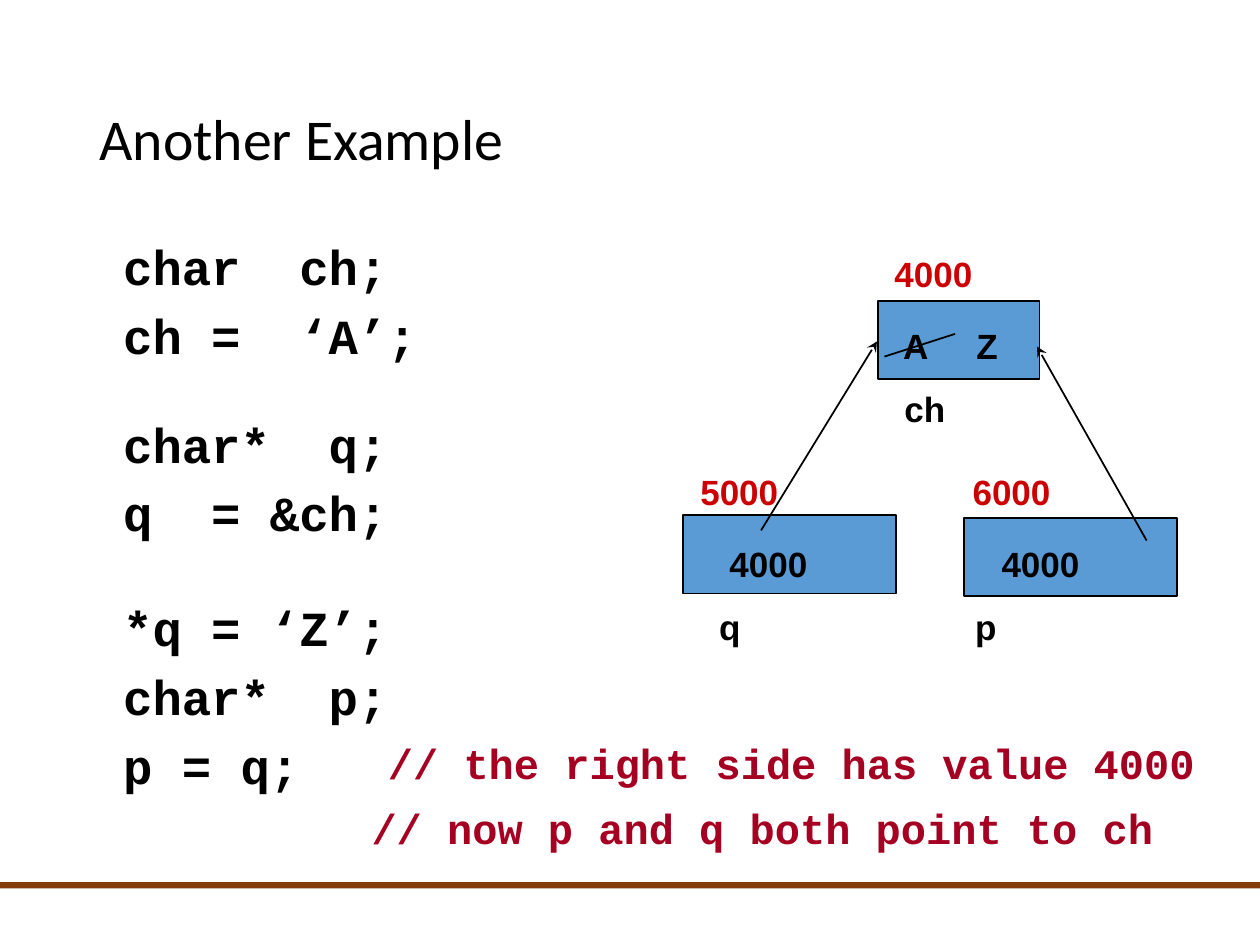
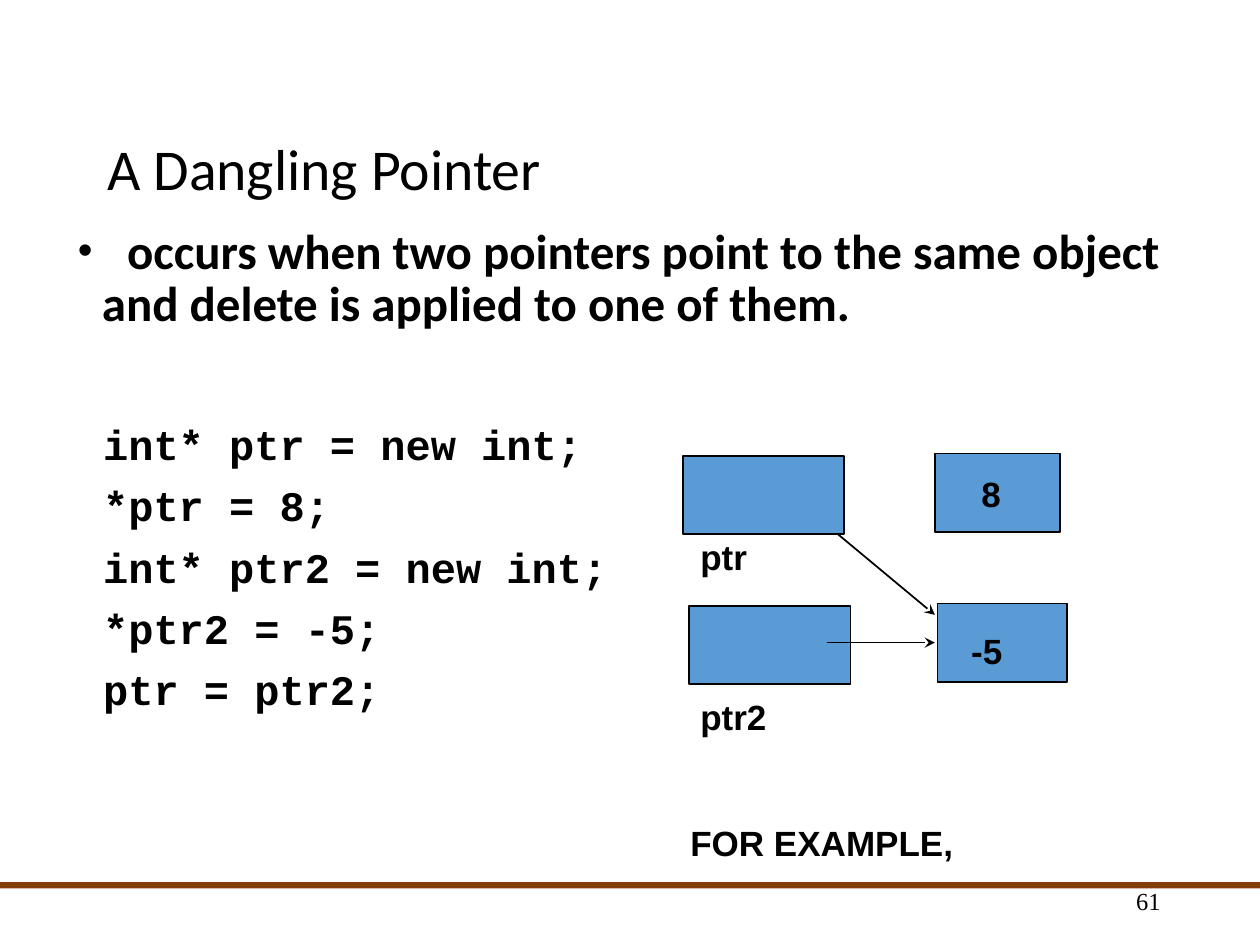
"""Build two slides on C++ pointers with code and memory diagrams."""
from dataclasses import dataclass

from lxml.etree import SubElement
from pptx import Presentation
from pptx.dml.color import RGBColor
from pptx.enum.shapes import MSO_CONNECTOR, MSO_SHAPE
from pptx.enum.text import MSO_ANCHOR, PP_ALIGN
from pptx.oxml.ns import qn
from pptx.util import Emu, Inches, Pt

SLIDE_WIDTH, SLIDE_HEIGHT = Inches(10), Inches(7.5)
COLUMNS, ROWS = 100, 75
BLACK, BLUE, BROWN = "000000", "5B9BD5", "843C0B"
RED, CRIMSON = "CC0000", "A50021"
CODE_FONT, LABEL_FONT, TEXT_FONT, NUMBER_FONT = "Courier New", "Arial", "Calibri", "Times New Roman"
CELL_HEIGHT = 6.2
LABEL_HEIGHT = 4
TEXT_INSET = 1
LINE_SPACING = 0.9
CODE_SPACE = 9


@dataclass(frozen=True)
class Area:
    """A rectangle in grid columns and rows."""
    left: float
    top: float
    width: float
    height: float


@dataclass(frozen=True)
class Label:
    """A line of text: left edge in columns, middle in rows."""
    text: str
    left: float
    middle: float
    color: str = BLACK
    font: str = LABEL_FONT
    size: float = 20


@dataclass(frozen=True)
class MemoryCell:
    """A box of the memory diagram."""
    left: float
    top: float
    width: float


@dataclass(frozen=True)
class Line:
    """A straight line, with an arrowhead at its end if it is a pointer."""
    start: tuple[float, float]
    end: tuple[float, float]
    pointer: bool = True


@dataclass(frozen=True)
class CodeLine:
    """A line of code and the space in points above it."""
    text: str
    space_before: float = CODE_SPACE


def across(columns: float) -> Emu:
    """Turn grid columns into a length."""
    return Emu(round(SLIDE_WIDTH * columns / COLUMNS))


def down(rows: float) -> Emu:
    """Turn grid rows into a length."""
    return Emu(round(SLIDE_HEIGHT * rows / ROWS))


def bounds(area: Area) -> tuple[Emu, Emu, Emu, Emu]:
    """Give left, top, width and height as lengths."""
    return across(area.left), down(area.top), across(area.width), down(area.height)


def rgb(color: str) -> RGBColor:
    """Turn a hex string into a colour."""
    return RGBColor.from_string(color)


def style_font(font, name: str, size: float, bold: bool = True, color: str = BLACK) -> None:
    """Set the face, size, weight and colour of a font."""
    font.name, font.size, font.bold = name, Pt(size), bold
    font.color.rgb = rgb(color)


def add_rectangle(slide, area: Area, fill: str, outline: str | None = None) -> None:
    """Draw a filled rectangle with an optional outline."""
    shape = slide.shapes.add_shape(MSO_SHAPE.RECTANGLE, *bounds(area))
    shape.shadow.inherit = False
    shape.fill.solid()
    shape.fill.fore_color.rgb = rgb(fill)
    if outline:
        shape.line.color.rgb = rgb(outline)
        shape.line.width = Pt(1)
    else:
        shape.line.fill.background()


def add_text_frame(slide, area: Area, anchor=MSO_ANCHOR.TOP, wrap: bool = True):
    """Add a text box and return its text frame."""
    frame = slide.shapes.add_textbox(*bounds(area)).text_frame
    frame.word_wrap = wrap
    frame.vertical_anchor = anchor
    return frame


def add_label(slide, label: Label) -> None:
    """Write a label at its left edge and middle."""
    area = Area(label.left - TEXT_INSET, label.middle - LABEL_HEIGHT / 2,
                COLUMNS - label.left, LABEL_HEIGHT)
    paragraph = add_text_frame(slide, area, MSO_ANCHOR.MIDDLE, wrap=False).paragraphs[0]
    paragraph.text = label.text
    style_font(paragraph.font, label.font, label.size, color=label.color)


def add_line(slide, line: Line) -> None:
    """Draw a thin black line or pointer arrow."""
    connector = slide.shapes.add_connector(
        MSO_CONNECTOR.STRAIGHT, across(line.start[0]), down(line.start[1]),
        across(line.end[0]), down(line.end[1]))
    connector.line.color.rgb = rgb(BLACK)
    connector.line.width = Pt(1)
    properties = connector._element.spPr
    if line.pointer:
        SubElement(properties.find(qn("a:ln")), qn("a:tailEnd"), type="stealth")
    SubElement(properties, qn("a:effectLst"))


def add_diagram(slide, cells: list[MemoryCell], lines: list[Line], labels: list[Label]) -> None:
    """Draw memory cells, then the lines and labels over them."""
    for cell in cells:
        add_rectangle(slide, Area(cell.left, cell.top, cell.width, CELL_HEIGHT), BLUE, BLACK)
    for line in lines:
        add_line(slide, line)
    for label in labels:
        add_label(slide, label)


def add_code(slide, area: Area, size: float, code: list[CodeLine]) -> None:
    """Write lines of code in one text box."""
    frame = add_text_frame(slide, area)
    for index, line in enumerate(code):
        paragraph = frame.add_paragraph() if index else frame.paragraphs[0]
        paragraph.text = line.text
        paragraph.line_spacing = LINE_SPACING
        paragraph.space_before = Pt(line.space_before)
        style_font(paragraph.font, CODE_FONT, size)


def add_bullet(slide, area: Area, text: str) -> None:
    """Write a bulleted statement with a hanging indent."""
    paragraph = add_text_frame(slide, area).paragraphs[0]
    paragraph.line_spacing = LINE_SPACING
    paragraph.space_before = Pt(7.5)
    for content, font, size in ((" ", CODE_FONT, 24), (text, TEXT_FONT, 28)):
        run = paragraph.add_run()
        run.text = content
        style_font(run.font, font, size)
    properties = paragraph._p.get_or_add_pPr()
    indent = across(1.9)
    properties.set("marL", str(indent))
    properties.set("indent", str(-indent))
    SubElement(properties, qn("a:buFont"), typeface=LABEL_FONT)
    SubElement(properties, qn("a:buChar"), char="•")


def add_page_number(slide, number: str) -> None:
    """Write the page number below the band."""
    paragraph = add_text_frame(slide, Area(70.6, 69.5, 22.5, 4), MSO_ANCHOR.MIDDLE).paragraphs[0]
    paragraph.text = number
    paragraph.alignment = PP_ALIGN.RIGHT
    style_font(paragraph.font, NUMBER_FONT, 14, bold=False)


def add_titled_slide(presentation, title: str, area: Area, anchor):
    """Add a slide with the shared band and title style."""
    slide = presentation.slides.add_slide(presentation.slide_layouts[5])
    add_rectangle(slide, Area(0, 70, COLUMNS, 0.5), BROWN)
    shape = slide.shapes.title
    shape.left, shape.top, shape.width, shape.height = bounds(area)
    frame = shape.text_frame
    frame.text = title
    frame.vertical_anchor = anchor
    paragraph = frame.paragraphs[0]
    paragraph.alignment = PP_ALIGN.LEFT
    paragraph.line_spacing = LINE_SPACING
    style_font(paragraph.font, TEXT_FONT, 33, bold=False)
    return slide


def build_example(presentation) -> None:
    """Build the slide with two pointers to one character."""
    slide = add_titled_slide(presentation, "Another Example",
                             Area(6.9, 4, 86.2, 14.5), MSO_ANCHOR.MIDDLE)
    add_code(slide, Area(8.8, 18.8, 40, 46), 28, [
        CodeLine("char  ch;"), CodeLine("ch =  ‘A’;"),
        CodeLine("char*  q;", 32), CodeLine("q  = &ch;"),
        CodeLine("*q = ‘Z’;", 35.5), CodeLine("char*  p;"), CodeLine("p = q;")])
    cells = [MemoryCell(69.7, 23.9, 12.8), MemoryCell(54.2, 40.9, 16.9),
             MemoryCell(76.5, 41.1, 16.9)]
    lines = [Line((60.4, 42.1), (69.6, 27.1)), Line((91, 42.9), (82.3, 27.5)),
             Line((70.2, 28.3), (75.8, 26.5), pointer=False)]
    labels = [
        Label("4000", 71, 21.7, RED), Label("A", 71.7, 27.4), Label("Z", 77.5, 27.4),
        Label("ch", 71.8, 32.4),
        Label("5000", 55.6, 39, RED), Label("6000", 77.2, 39, RED),
        Label("4000", 57.9, 44.7), Label("4000", 79.5, 44.7),
        Label("q", 57.1, 49.7), Label("p", 77.4, 49.7),
        Label("// the right side has value 4000", 30.8, 60.5, CRIMSON, CODE_FONT, 24),
        Label("// now p and q both point to ch", 29.5, 65.7, CRIMSON, CODE_FONT, 24)]
    add_diagram(slide, cells, lines, labels)


def build_dangling_pointer(presentation) -> None:
    """Build the slide that defines a dangling pointer."""
    slide = add_titled_slide(presentation, "A Dangling Pointer",
                             Area(7.5, 5.4, 85.8, 11.2), MSO_ANCHOR.BOTTOM)
    add_bullet(slide, Area(5.2, 17.5, 89.8, 10),
               "occurs when two pointers point to the same object "
               "and delete is applied to one of them.")
    code = ["int* ptr = new int;", "*ptr = 8;", "int* ptr2 = new int;", "*ptr2 = -5;", "ptr = ptr2;"]
    add_code(slide, Area(7.2, 33.2, 45, 25), 24, [CodeLine(text) for text in code])
    cells = [MemoryCell(54.2, 36.2, 12.8), MemoryCell(54.7, 48.1, 12.8),
             MemoryCell(74.2, 36, 9.9), MemoryCell(74.4, 47.9, 10.3)]
    lines = [Line((66.5, 42.4), (74.2, 48.8)), Line((65.6, 51), (74.2, 51))]
    labels = [Label("8", 77.9, 39.2), Label("ptr", 55.6, 44.2), Label("-5", 77.1, 51.6),
              Label("ptr2", 55.6, 56.9), Label("FOR EXAMPLE,", 54.8, 66.9)]
    add_diagram(slide, cells, lines, labels)
    add_page_number(slide, "61")


def main() -> None:
    """Build and save the presentation."""
    presentation = Presentation()
    presentation.slide_width, presentation.slide_height = SLIDE_WIDTH, SLIDE_HEIGHT
    build_example(presentation)
    build_dangling_pointer(presentation)
    presentation.save("out.pptx")


if __name__ == "__main__":
    main()
